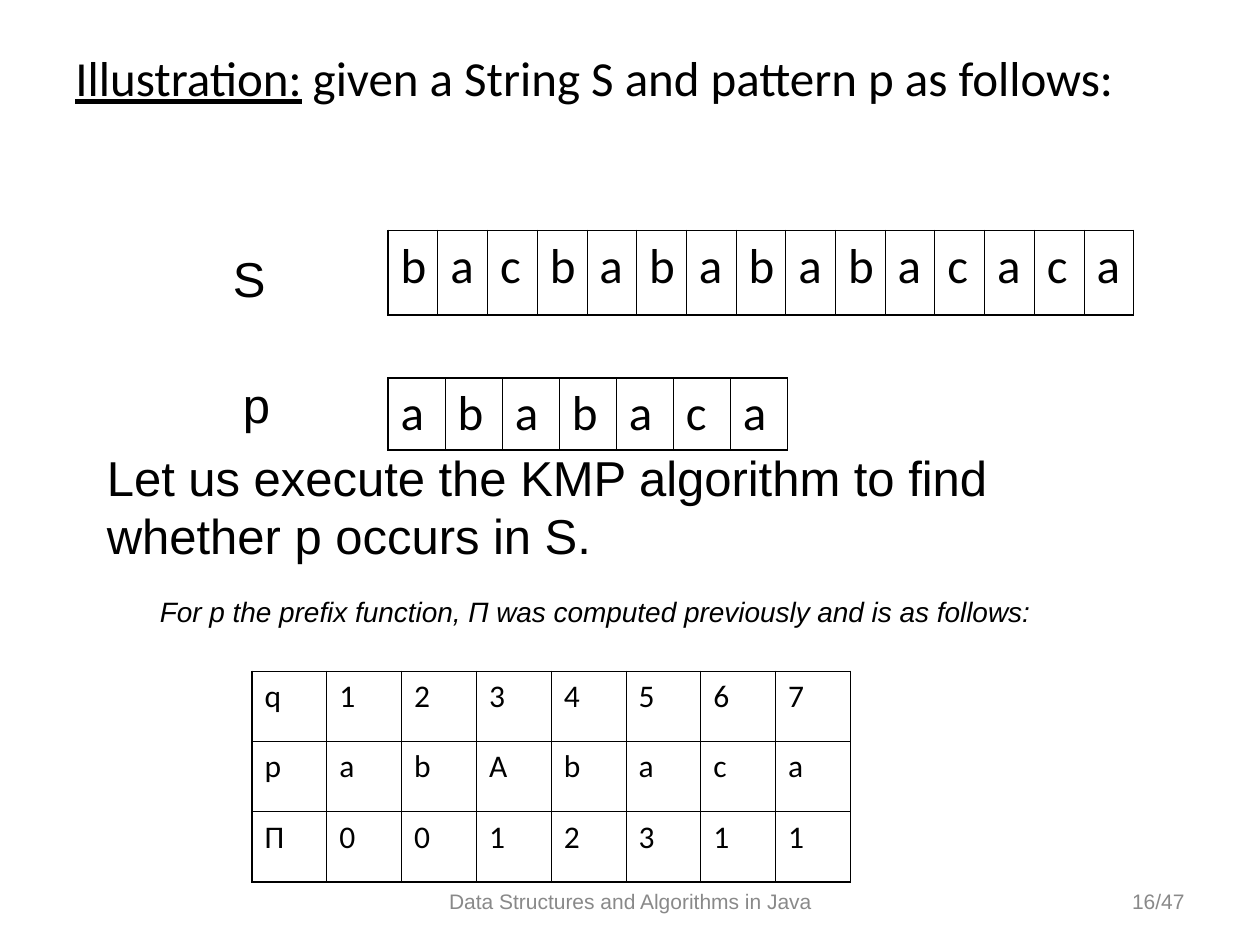
from dataclasses import dataclass

from lxml.etree import SubElement as Sub
from pptx import Presentation
from pptx.dml.color import RGBColor as RGB
from pptx.enum.text import MSO_ANCHOR as Anchor, MSO_AUTO_SIZE as Fit, PP_ALIGN as Align
from pptx.oxml.ns import qn
from pptx.util import Inches, Pt


@dataclass(frozen=True)
class Theme:
    ink: RGB = RGB(0x00, 0x00, 0x00)
    gray: RGB = RGB(0x89, 0x89, 0x89)
    sans: str = "Arial"
    body: str = "Calibri"
    large: float = 28
    cell: float = 18
    note: float = 16
    foot: float = 12
    thick: float = 1.08
    thin: float = 0.45
    lead: float = 0.25  # space before, as a share of the type size


@dataclass(frozen=True)
class Label:
    text: str
    box: tuple[float, float, float, float]
    size: float
    color: RGB
    align: Align = Align.LEFT
    anchor: Anchor = Anchor.TOP
    italic: bool = False
    wrap: bool = True
    grow: bool = True


@dataclass(frozen=True)
class Grid:
    rows: list[str]  # one letter for each cell
    box: tuple[float, float, float, float]
    size: float


T = Theme()

LABELS = [
    Label("Data Structures and Algorithms in Java", (3.42, 6.95, 3.17, 0.4), T.foot,
          T.gray, Align.CENTER, Anchor.MIDDLE, grow=False),
    Label("16/47", (7.17, 6.95, 2.33, 0.4), T.foot,
          T.gray, Align.RIGHT, Anchor.MIDDLE, grow=False),
    Label("S", (1.75, 1.92, 0.46, 0.57), T.large, T.ink, wrap=False),
    Label("p", (1.83, 2.92, 0.41, 0.57), T.large, T.ink, wrap=False),
    Label("Let us execute the KMP algorithm to find whether p occurs in S.",
          (0.75, 3.5, 8.1, 1.04), T.large, T.ink),
    Label("For p the prefix function, Π was computed previously and is as follows:",
          (1.17, 4.67, 7.83, 0.37), T.note, T.ink, italic=True),
]

GRIDS = [
    Grid(["bacbababababcaca".replace("ababab", "ababa", 1)], (3.08, 1.83, 5.92, 0.67), T.large),
    Grid(["ababaca"], (3.08, 3, 3.17, 0.57), T.large),
    Grid(["q1234567", "pabAbaca", "Π0012311"], (2, 5.33, 4.75, 1.67), T.cell),
]
GRIDS[0] = Grid(["bacbabababacaca"], GRIDS[0].box, T.large)


def style(para, face: str, size: float, color: RGB) -> None:
    font = para.font
    font.name, font.size = face, Pt(size)
    font.color.rgb = color


def add_title(slide) -> None:
    frame = slide.shapes.add_textbox(*map(Inches, (0.5, 0.33, 9, 1.03))).text_frame
    frame.word_wrap = True
    para = frame.paragraphs[0]
    style(para, T.body, T.large, T.ink)
    para.space_before = Pt(T.large * T.lead)
    props = para._p.get_or_add_pPr()
    props.set("marL", str(Inches(0.38)))
    props.set("indent", str(Inches(-0.38)))
    head = para.add_run()
    head.text, head.font.underline = "Illustration:", True
    para.add_run().text = " given a String S and pattern p as follows:"


def add_label(slide, label: Label) -> None:
    frame = slide.shapes.add_textbox(*map(Inches, label.box)).text_frame
    frame.word_wrap = label.wrap
    frame.auto_size = Fit.SHAPE_TO_FIT_TEXT if label.grow else Fit.NONE
    frame.vertical_anchor = label.anchor
    para = frame.paragraphs[0]
    para.text, para.alignment = label.text, label.align
    style(para, T.sans, label.size, label.color)
    para.font.italic = label.italic


def add_edge(cell, side: str, outer: bool) -> None:
    width = Pt(T.thick if outer else T.thin)
    line = Sub(cell._tc.get_or_add_tcPr(), qn(f"a:ln{side}"), w=str(width))
    Sub(Sub(line, qn("a:solidFill")), qn("a:srgbClr"), val=str(T.ink))


def add_grid(slide, grid: Grid) -> None:
    high, wide = len(grid.rows), len(grid.rows[0])
    table = slide.shapes.add_table(high, wide, *map(Inches, grid.box)).table
    table.first_row = table.horz_banding = False
    for col in table.columns:
        col.width = Inches(grid.box[2] / wide)
    for row in table.rows:
        row.height = Inches(grid.box[3] / high)
    for r, row in enumerate(grid.rows):
        for c, text in enumerate(row):
            cell = table.cell(r, c)
            para = cell.text_frame.paragraphs[0]
            para.text = text
            para.space_before = Pt(grid.size * T.lead)
            style(para, T.body, grid.size, T.ink)
            edges = {"L": c == 0, "R": c == wide - 1, "T": r == 0, "B": r == high - 1}
            for side, outer in edges.items():
                add_edge(cell, side, outer)
            cell.fill.background()


def main() -> None:
    deck = Presentation()
    deck.slide_width, deck.slide_height = Inches(10), Inches(7.5)
    slide = deck.slides.add_slide(deck.slide_layouts[6])
    add_title(slide)
    for grid in GRIDS:
        add_grid(slide, grid)
    for label in LABELS:
        add_label(slide, label)
    deck.save("out.pptx")


if __name__ == "__main__":
    main()
